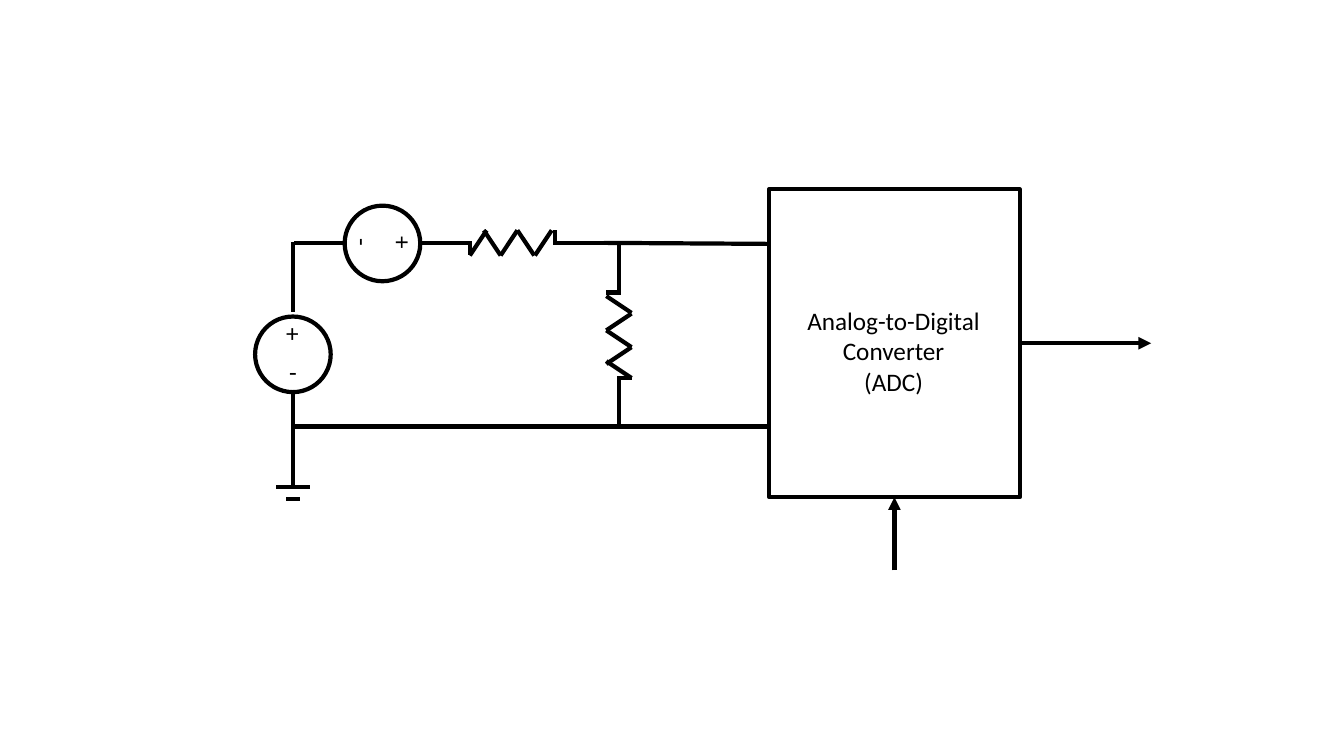
from dataclasses import dataclass

import pptx
import pptx.dml.color
import pptx.enum.shapes
import pptx.enum.text
import pptx.oxml
import pptx.oxml.ns
import pptx.util

Pt = pptx.util.Pt
SHAPES = pptx.enum.shapes.MSO_SHAPE
ALIGN = pptx.enum.text.PP_ALIGN
INK = "000000"
LINE_WIDTH = 3


@dataclass(frozen=True)
class Wire:
    x1: float
    y1: float
    x2: float
    y2: float
    arrow: bool = False


@dataclass(frozen=True)
class Label:
    text: str
    left: float
    top: float
    width: float
    height: float
    rotation: float = 0
    align: ALIGN = ALIGN.LEFT


@dataclass(frozen=True)
class Outline:
    kind: SHAPES
    left: float
    top: float
    width: float
    height: float


@dataclass(frozen=True)
class Resistor:
    x: float
    y: float
    upright: bool


# Resistor strokes as (along, across) pairs, measured from its first terminal
ZIGZAG_STARTS = (0, 10, 22, 34, 46.5)
RESISTOR_STROKES = [
    ((-34.5, 0), (1.5, 0)),
    ((0, 0), (0, 9)),
    *(
        ((start, side), (start + 12, -side))
        for start, side in zip(ZIGZAG_STARTS, (9, -9, 9, -9, 9))
    ),
    ((61, -9), (61, 0)),
    ((59.5, 0), (95.5, 0)),
]

RESISTORS = [Resistor(335.6, 173.5, False), Resistor(442.1, 270, True)]

SOURCES = [
    Outline(SHAPES.OVAL, 246.2, 146.9, 54, 54),
    Outline(SHAPES.OVAL, 182.2, 226.1, 54, 54),
]
CONVERTER = Outline(SHAPES.RECTANGLE, 549.4, 135.2, 179, 220)

WIRES = [
    Wire(431.3, 173.5, 548, 174.2),
    Wire(209.2, 172.8, 209.2, 223.2),
    Wire(246.2, 173.5, 210, 173.5),
    Wire(209.2, 280.1, 209.2, 349.5),
    Wire(210, 304.7, 548, 304.7),
    Wire(197.2, 347.8, 221.2, 347.8),
    Wire(204.4, 356.4, 214, 356.4),
]
OUTPUT = Wire(728.4, 245.2, 822.2, 245.2, arrow=True)
CLOCK = Wire(638.9, 407.5, 638.9, 355.2, arrow=True)

LABELS = [
    Label("+", 276.5, 159.1, 23.8, 29, rotation=90),
    Label("-", 249.8, 159.1, 20.2, 29, rotation=90),
    Label("+", 197.3, 223.2, 23.8, 29),
    Label("-", 199.4, 251.3, 20.2, 29),
    Label("Analog-to-Digital\nConverter\n(ADC)", 568.8, 214.6, 139, 72.7, align=ALIGN.CENTER),
]


def color(value: str) -> pptx.dml.color.RGBColor:
    return pptx.dml.color.RGBColor.from_string(value)


def style_line(line) -> None:
    line.color.rgb = color(INK)
    line.width = Pt(LINE_WIDTH)


def draw_wire(page, wire: Wire):
    ends = map(Pt, (wire.x1, wire.y1, wire.x2, wire.y2))
    connector = page.shapes.add_connector(pptx.enum.shapes.MSO_CONNECTOR.STRAIGHT, *ends)
    style_line(connector.line)
    if wire.arrow:
        line = connector.line._get_or_add_ln()
        head = pptx.oxml.ns.qn("a:tailEnd")
        line.append(line.makeelement(head, {"type": "triangle"}))
    properties = connector._element.spPr
    properties.append(properties.makeelement(pptx.oxml.ns.qn("a:effectLst"), {}))
    return connector


def draw_outline(page, outline: Outline):
    frame = map(Pt, (outline.left, outline.top, outline.width, outline.height))
    shape = page.shapes.add_shape(outline.kind, *frame)
    shape.shadow.inherit = False
    shape.fill.background()
    style_line(shape.line)
    return shape


def draw_resistor(page, resistor: Resistor) -> None:
    """Draw the strokes rightwards, or upwards when the resistor is upright."""

    def place(along: float, across: float) -> tuple[float, float]:
        if resistor.upright:
            return resistor.x + across, resistor.y - along
        return resistor.x + along, resistor.y + across

    for start, end in RESISTOR_STROKES:
        draw_wire(page, Wire(*place(*start), *place(*end)))


def draw_label(page, label: Label) -> None:
    frame = map(Pt, (label.left, label.top, label.width, label.height))
    box = page.shapes.add_textbox(*frame)
    box.rotation = label.rotation
    box.text_frame.word_wrap = False
    box.text_frame.auto_size = pptx.enum.text.MSO_AUTO_SIZE.SHAPE_TO_FIT_TEXT
    para = box.text_frame.paragraphs[0]
    para.text = label.text
    para.alignment = label.align
    for span in para.runs:
        for name, value in {"name": "Calibri", "size": Pt(18)}.items():
            setattr(span.font, name, value)
        span.font.color.rgb = color(INK)


def main() -> None:
    deck = pptx.Presentation()
    deck.slide_width, deck.slide_height = Pt(960), Pt(540)
    page = deck.slides.add_slide(deck.slide_layouts[6])

    for wire in WIRES:
        draw_wire(page, wire)
    for resistor in RESISTORS:
        draw_resistor(page, resistor)
    for source in SOURCES:
        draw_outline(page, source)
    converter = draw_outline(page, CONVERTER)
    draw_wire(page, OUTPUT).begin_connect(converter, 3)
    draw_wire(page, CLOCK).end_connect(converter, 2)
    for label in LABELS:
        draw_label(page, label)

    deck.save("out.pptx")


if __name__ == "__main__":
    main()
